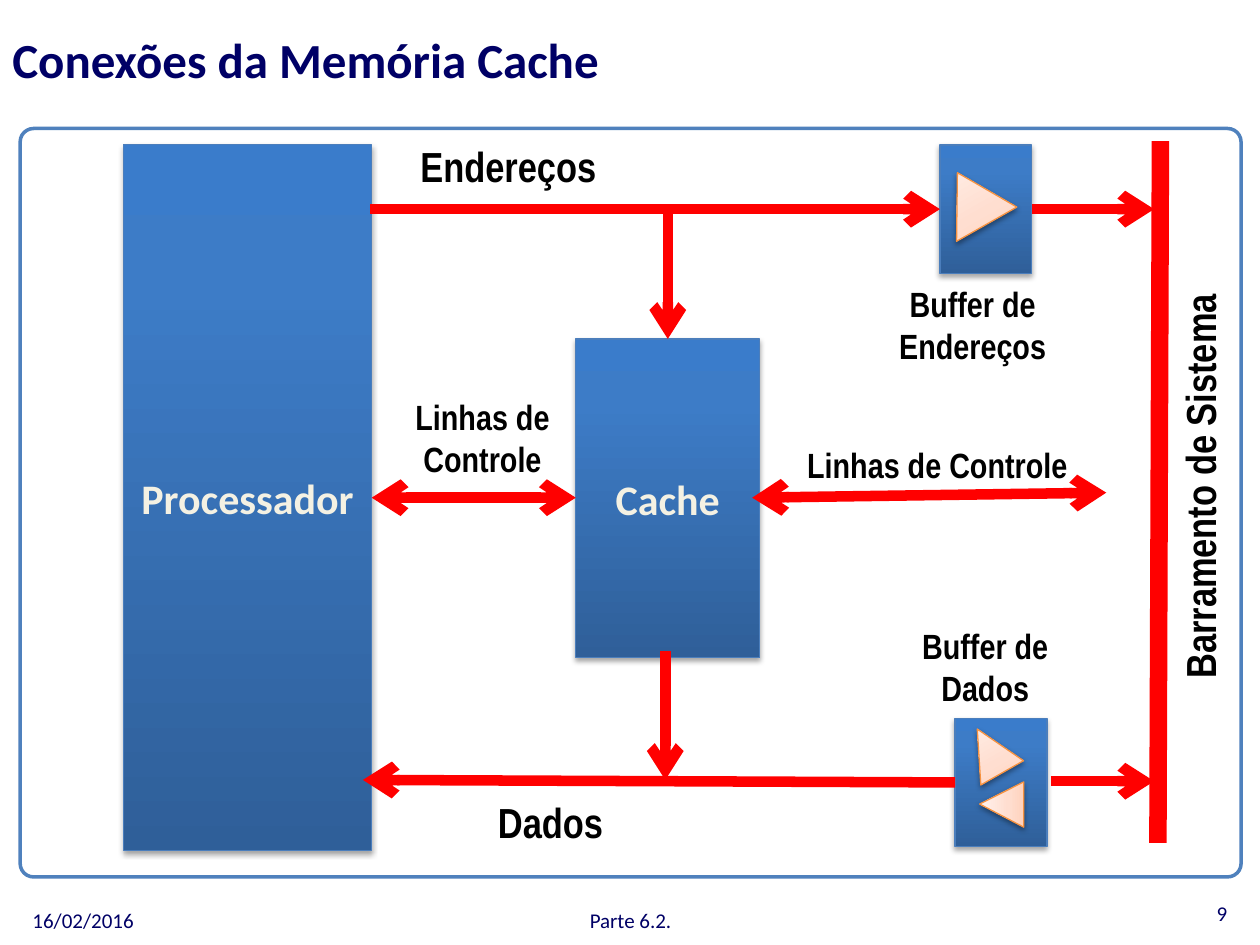
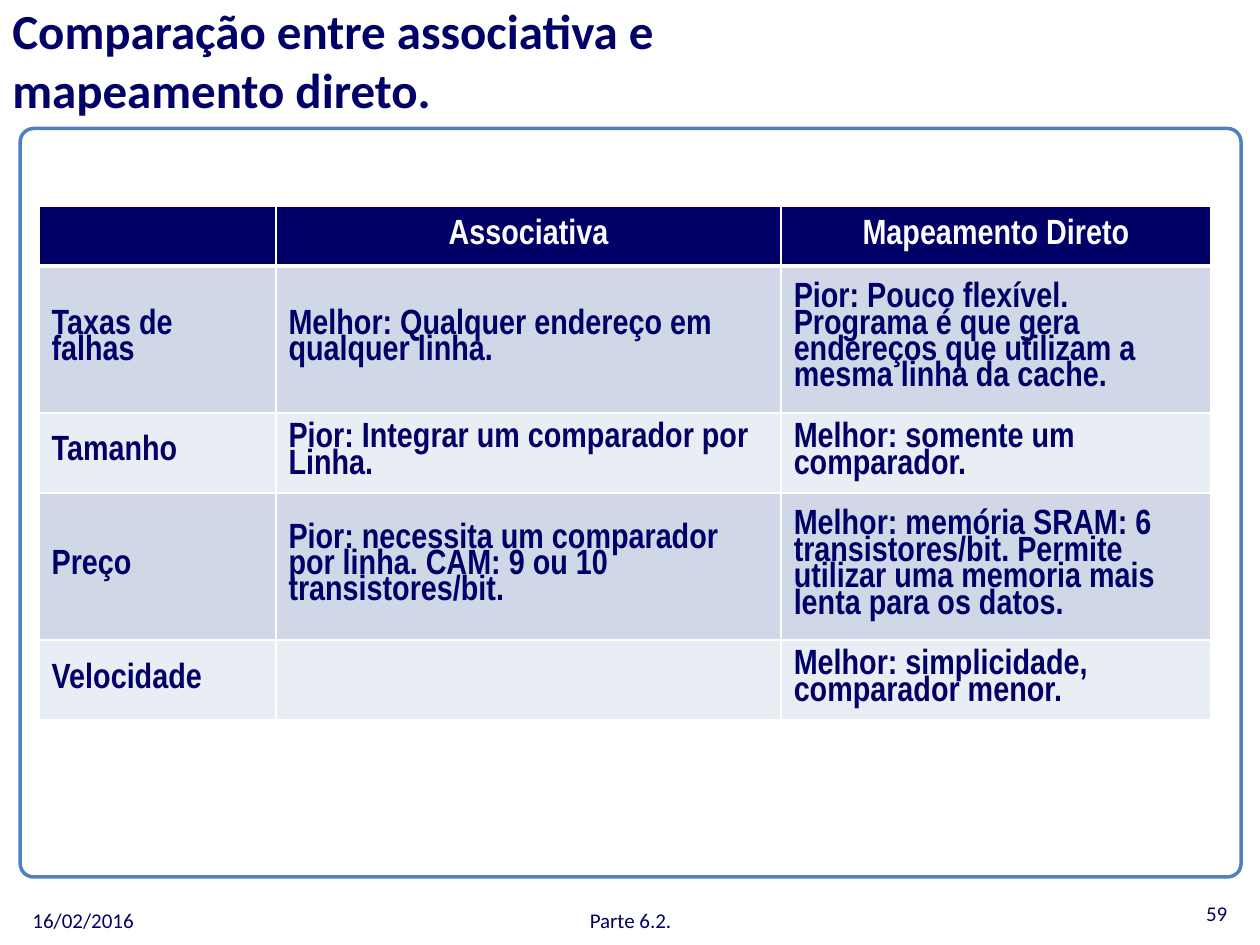
"""Build two slides on cache memory: a connection diagram and a comparison table."""

from dataclasses import dataclass

import lxml.etree
import pptx
import pptx.dml.color
import pptx.enum.dml
import pptx.enum.shapes
import pptx.enum.text
import pptx.oxml
import pptx.oxml.ns
import pptx.util

SCALE = 9144

ALIGN = pptx.enum.text.PP_ALIGN
ANCHOR = pptx.enum.text.MSO_ANCHOR
SHAPE = pptx.enum.shapes.MSO_SHAPE


@dataclass(frozen=True)
class Finish:
    stops: tuple[tuple[int, str], ...]
    line: str
    shadow_opacity: int
    shadow_distance: float


@dataclass(frozen=True)
class Theme:
    heading_font: str = "Calibri"
    label_font: str = "Arial Narrow"
    navy: str = "000066"
    black: str = "000000"
    white: str = "FFFFFF"
    header_text: str = "FCFCFF"
    block_text: str = "F4F1E3"
    frame: str = "4F81BD"
    bus: str = "FF0000"
    bands: tuple[str, str] = ("D0D8E8", "E9EDF4")
    title_size: int = 28
    large_size: int = 24
    body_size: int = 20
    footer_size: int = 12
    block: Finish = Finish(((0, "2F5F99"), (80, "3D7CC7"), (100, "3A7CCB")), "4B7EBC", 35, 1.8)
    buffer_mark: Finish = Finish(((0, "FFD2BD"), (35, "FFDED0"), (100, "FFF2ED")), "F69240", 38, 1.6)


THEME = Theme()


@dataclass(frozen=True)
class Box:
    left: int
    top: int
    width: int
    height: int

    def emu(self) -> tuple[int, int, int, int]:
        return self.left * SCALE, self.top * SCALE, self.width * SCALE, self.height * SCALE


@dataclass(frozen=True)
class Block:
    box: Box
    text: str = ""


@dataclass(frozen=True)
class BufferMark:
    box: Box
    rotation: float
    apex: float = 0.5


@dataclass(frozen=True)
class Label:
    text: str
    box: Box
    size: int = THEME.body_size
    rotation: int = 0


@dataclass(frozen=True)
class Link:
    start: tuple[int, int]
    end: tuple[int, int]
    both_ways: bool = False
    arrow: bool = True
    width: int = 6


BLOCKS = (
    Block(Box(98, 115, 197, 560), "Processador"),
    Block(Box(457, 269, 146, 253), "Cache"),
    Block(Box(746, 115, 73, 102)),
    Block(Box(758, 570, 73, 102)),
)
BUFFER_MARKS = (
    BufferMark(Box(744, 134, 55, 47), 330.4),
    BufferMark(Box(766, 576, 39, 40), 330.4),
    BufferMark(Box(777, 621, 36, 35), 270, 0.51),
)
LABELS = (
    Label("Endereços", Box(323, 107, 161, 50), THEME.large_size),
    Label("Buffer de Endereços", Box(690, 219, 164, 77)),
    Label("Buffer de Dados", Box(700, 491, 164, 77)),
    Label("Linhas de Controle", Box(626, 347, 236, 44)),
    Label("Dados", Box(319, 627, 236, 50), THEME.large_size),
    Label("Barramento de Sistema", Box(779, 361, 346, 50), THEME.large_size, 270),
    Label("Linhas de Controle", Box(310, 309, 146, 77)),
)
LINKS = (
    Link((295, 395), (457, 395), both_ways=True),
    Link((597, 395), (878, 391), both_ways=True),
    Link((294, 166), (746, 166)),
    Link((530, 166), (530, 269)),
    Link((819, 166), (916, 166)),
    Link((834, 620), (916, 620)),
    Link((758, 621), (288, 619)),
    Link((528, 517), (528, 619)),
    Link((919, 669), (921, 112), arrow=False, width=10),
)

COLUMN_WIDTHS = (188, 401, 341)
ROW_HEIGHTS = (47, 115, 62, 115, 62)
COMPARISON = (
    ("", "Associativa", "Mapeamento Direto"),
    ("Taxas de falhas", "Melhor: Qualquer endereço em\nqualquer linha.",
     "Pior: Pouco flexível. Programa é que gera endereços que utilizam a mesma linha da cache."),
    ("Tamanho", "Pior: Integrar um comparador por\nLinha.", "Melhor: somente um comparador."),
    ("Preço", "Pior: necessita um comparador por linha. CAM: 9 ou 10 transistores/bit.",
     "Melhor: memória SRAM: 6\ntransistores/bit. Permite utilizar uma memoria mais lenta para os datos."),
    ("Velocidade", "", "Melhor: simplicidade, comparador menor."),
)


def rgb(color: str) -> pptx.dml.color.RGBColor:
    return pptx.dml.color.RGBColor.from_string(color)


def add_element(parent, tag: str, **attributes):
    element = lxml.etree.SubElement(parent, pptx.oxml.ns.qn(tag))
    for name, value in attributes.items():
        element.set(name, str(value))
    return element


def write_text(text_frame, text: str, *, size: int, color: str, font: str = THEME.label_font,
               bold: bool = True, align=ALIGN.LEFT, line_spacing: float | None = None) -> None:
    text_frame.word_wrap = True
    for index, line in enumerate(text.split("\n")):
        paragraph = text_frame.add_paragraph() if index else text_frame.paragraphs[0]
        paragraph.alignment = align
        paragraph.line_spacing = line_spacing
        run = paragraph.add_run()
        run.text = line
        run.font.name = font
        run.font.size = pptx.util.Pt(size)
        run.font.bold = bold
        run.font.color.rgb = rgb(color)


def add_text(slide, text: str, box: Box, *, anchor=ANCHOR.MIDDLE, rotation: int = 0, **text_format):
    shape = slide.shapes.add_textbox(*box.emu())
    shape.rotation = rotation
    shape.text_frame.vertical_anchor = anchor
    write_text(shape.text_frame, text, **text_format)
    return shape


def apply_finish(shape, finish: Finish) -> None:
    shape.fill.gradient()
    shape.fill.gradient_angle = 90
    stop_list = shape.element.spPr.find(".//" + pptx.oxml.ns.qn("a:gsLst"))
    for stop in list(stop_list):
        stop_list.remove(stop)
    for position, color in finish.stops:
        add_element(add_element(stop_list, "a:gs", pos=position * 1000), "a:srgbClr", val=color)
    shape.line.color.rgb = rgb(finish.line)
    shape.line.width = pptx.util.Pt(0.75)
    effects = add_element(shape.element.spPr, "a:effectLst")
    shadow = add_element(effects, "a:outerShdw", blurRad=pptx.util.Pt(3.1),
                         dist=pptx.util.Pt(finish.shadow_distance), dir=5400000, rotWithShape=0)
    add_element(add_element(shadow, "a:srgbClr", val=THEME.black),
                "a:alpha", val=finish.shadow_opacity * 1000)


def add_block(slide, block: Block) -> None:
    shape = slide.shapes.add_shape(SHAPE.RECTANGLE, *block.box.emu())
    apply_finish(shape, THEME.block)
    if block.text:
        write_text(shape.text_frame, block.text, size=THEME.large_size, color=THEME.block_text,
                   font=THEME.heading_font, align=ALIGN.CENTER)


def add_buffer_mark(slide, mark: BufferMark) -> None:
    shape = slide.shapes.add_shape(SHAPE.ISOSCELES_TRIANGLE, *mark.box.emu())
    shape.adjustments[0] = mark.apex
    shape.rotation = mark.rotation
    apply_finish(shape, THEME.buffer_mark)


def add_link(slide, link: Link) -> None:
    points = [value * SCALE for value in link.start + link.end]
    connector = slide.shapes.add_connector(pptx.enum.shapes.MSO_CONNECTOR.STRAIGHT, *points)
    connector.line.color.rgb = rgb(THEME.bus)
    connector.line.width = pptx.util.Pt(link.width)
    line = connector.line._get_or_add_ln()
    if link.both_ways:
        add_element(line, "a:headEnd", type="arrow")
    if link.arrow:
        add_element(line, "a:tailEnd", type="arrow")
    add_element(connector.element.spPr, "a:effectLst")


def style_cell(cell, row: int) -> None:
    properties = cell._tc.get_or_add_tcPr()
    thick_side = {0: "B", 1: "T"}.get(row)
    for side in "LRTB":
        width = 3 if side == thick_side else 1
        border = add_element(properties, f"a:ln{side}", w=pptx.util.Pt(width))
        add_element(add_element(border, "a:solidFill"), "a:srgbClr", val=THEME.white)
    cell.fill.solid()
    cell.fill.fore_color.rgb = rgb(THEME.bands[(row - 1) % 2] if row else THEME.navy)
    cell.vertical_anchor = ANCHOR.MIDDLE


def add_comparison(slide) -> None:
    box = Box(31, 164, sum(COLUMN_WIDTHS), sum(ROW_HEIGHTS))
    table = slide.shapes.add_table(len(ROW_HEIGHTS), len(COLUMN_WIDTHS), *box.emu()).table
    for column, width in zip(table.columns, COLUMN_WIDTHS):
        column.width = width * SCALE
    for row, (height, texts) in enumerate(zip(ROW_HEIGHTS, COMPARISON)):
        table.rows[row].height = height * SCALE
        for column, text in enumerate(texts):
            cell = table.cell(row, column)
            style_cell(cell, row)
            if text:
                write_text(cell.text_frame, text, size=THEME.body_size,
                           color=THEME.navy if row else THEME.header_text,
                           align=ALIGN.LEFT if row else ALIGN.CENTER, line_spacing=0.8)


def add_base_slide(presentation, title: str, number: int):
    slide = presentation.slides.add_slide(presentation.slide_layouts[6])
    frame = slide.shapes.add_shape(SHAPE.ROUNDED_RECTANGLE, *Box(16, 102, 969, 594).emu())
    frame.adjustments[0] = 0.018
    frame.shadow.inherit = False
    frame.fill.background()
    frame.line.color.rgb = rgb(THEME.frame)
    frame.line.width = pptx.util.Pt(2)
    add_text(slide, title, Box(0, 0, 563, 94), size=THEME.title_size, color=THEME.navy,
             font=THEME.heading_font)
    footers = (
        ("16/02/2016", Box(16, 710, 233, 40), ALIGN.LEFT),
        ("Parte 6.2.", Box(342, 710, 317, 40), ALIGN.CENTER),
        (str(number), Box(751, 705, 233, 40), ALIGN.RIGHT),
    )
    for text, box, align in footers:
        add_text(slide, text, box, size=THEME.footer_size, color=THEME.navy,
                 font=THEME.heading_font, bold=False, align=align)
    return slide


def build_connections(presentation) -> None:
    slide = add_base_slide(presentation, "Conexões da Memória Cache", 9)
    for block in BLOCKS:
        add_block(slide, block)
    for mark in BUFFER_MARKS:
        add_buffer_mark(slide, mark)
    for label in LABELS:
        add_text(slide, label.text, label.box, anchor=ANCHOR.TOP, rotation=label.rotation,
                 size=label.size, color=THEME.black, align=ALIGN.CENTER)
    for link in LINKS:
        add_link(slide, link)


def main() -> None:
    presentation = pptx.Presentation()
    presentation.slide_width = 1000 * SCALE
    presentation.slide_height = 750 * SCALE
    build_connections(presentation)
    add_comparison(add_base_slide(
        presentation, "Comparação entre associativa e mapeamento direto.", 59))
    presentation.save("out.pptx")


if __name__ == "__main__":
    main()
